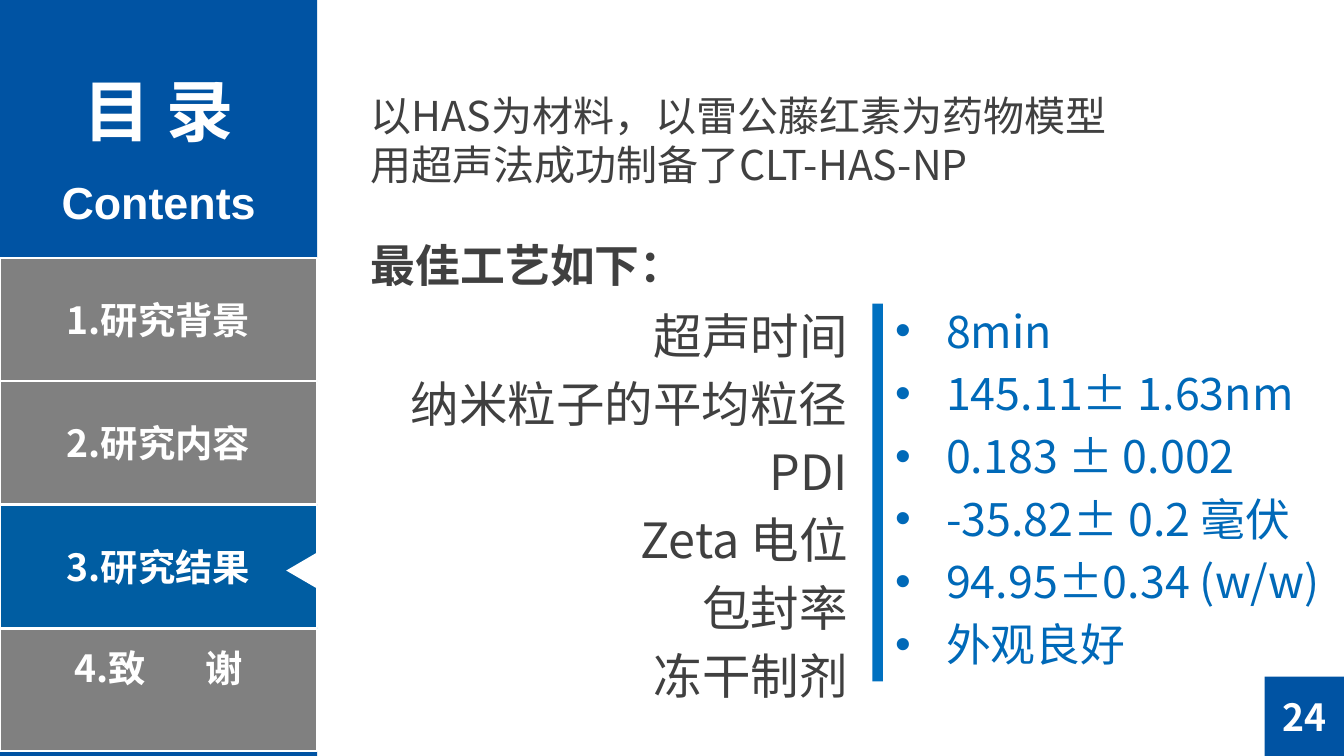
from lxml import etree
from pptx import Presentation
from pptx.dml.color import RGBColor
from pptx.enum.shapes import MSO_SHAPE as Shape
from pptx.enum.text import MSO_ANCHOR as Anchor, MSO_AUTO_SIZE as AutoSize, PP_ALIGN as Align
from pptx.oxml.ns import qn
from pptx.util import Inches, Pt

WIDTH = 10
HEIGHT = WIDTH * 9 / 16
CJK_FONT, LATIN_FONT = "Noto Sans CJK SC", "Arial"
COLORS = {"sidebar": "0053A3", "active": "005DA2", "idle": "808080", "white": "FFFFFF",
          "text": "404040", "values": "0069B8", "bar": "0070C0"}

CONTENTS = [("目 录", 0.47, 0.71, 36), ("Contents", 1.25, 0.5, 24)]
SECTIONS = ["1.研究背景", "2.研究内容", "3.研究结果", "4.致 谢"]
ACTIVE = 2
INTRO = ["以HAS为材料，以雷公藤红素为药物模型", "用超声法成功制备了CLT-HAS-NP"]
HEADING = "最佳工艺如下："
RESULTS = [
    ("超声时间", "8min"),
    ("纳米粒子的平均粒径", "145.11± 1.63nm"),
    ("PDI", "0.183 ± 0.002"),
    ("Zeta 电位", "-35.82± 0.2 毫伏"),
    ("包封率", "94.95±0.34 (w/w)"),
    ("冻干制剂", "外观良好"),
]
PAGE_NUMBER = "24"

SIDEBAR_WIDTH = 2.36
SECTION_TOP, SECTION_HEIGHT, SECTION_PITCH = 1.92, 0.91, 0.92
TEXT_LEFT = 2.66
BADGE = 0.59


def place(shape, left, top, width, height):
    shape.left, shape.top = Inches(left), Inches(top)
    shape.width, shape.height = Inches(width), Inches(height)


def add_block(page, kind, left, top, width, height, fill, outline=None):
    block = page.shapes.add_shape(kind, *map(Inches, (left, top, width, height)))
    block.shadow.inherit = False
    block.fill.solid()
    block.fill.fore_color.rgb = RGBColor.from_string(COLORS[fill])
    if outline:
        block.line.color.rgb = RGBColor.from_string(COLORS[outline])
        block.line.width = Pt(0.75)
    else:
        block.line.fill.background()
    return block


def style(para, size, color, bold=False, align=Align.LEFT, font=CJK_FONT,
          pitch=None, before=0, bullet=False):
    para.alignment = align
    para.space_before = Pt(before)
    if pitch:
        para.line_spacing = Pt(pitch)
    para.font.size, para.font.bold = Pt(size), bold
    para.font.color.rgb = RGBColor.from_string(COLORS[color])
    para.font.name = font
    props = para._p.get_or_add_pPr()
    defaults = props.find(qn("a:defRPr"))
    etree.SubElement(defaults, qn("a:ea"), typeface=CJK_FONT)
    indent = Inches(0.38) if bullet else 0
    props.set("marL", str(indent))
    props.set("indent", str(-indent))
    if bullet:
        mark = etree.Element(qn("a:buChar"), char="•")
    else:
        mark = etree.Element(qn("a:buNone"))
    defaults.addprevious(mark)


def fill_text(shape, lines, anchor=Anchor.TOP):
    """Write one paragraph per line and return the paragraphs."""
    frame = shape.text_frame
    frame.word_wrap = True
    frame.auto_size = AutoSize.NONE
    frame.vertical_anchor = anchor
    frame.text = "\n".join(lines)
    return frame.paragraphs


def add_sidebar(page):
    add_block(page, Shape.RECTANGLE, 0, 0, SIDEBAR_WIDTH, HEIGHT, "sidebar")
    for text, top, height, size in CONTENTS:
        box = page.shapes.add_textbox(*map(Inches, (0.12, top, SIDEBAR_WIDTH - 0.24, height)))
        style(fill_text(box, [text])[0], size, "white", True, Align.CENTER, LATIN_FONT)

    for index, label in enumerate(SECTIONS):
        top = SECTION_TOP + index * SECTION_PITCH
        block = add_block(page, Shape.RECTANGLE, 0, top, SIDEBAR_WIDTH, SECTION_HEIGHT,
                          "active" if index == ACTIVE else "idle", "white")
        para = fill_text(block, [label], Anchor.MIDDLE)[0]
        style(para, 20, "white", True, Align.CENTER)
    # The last label sits high and has a wide gap between its two characters.
    block.text_frame.margin_bottom = Inches(0.38)
    before, after = label.split(" ")
    para.runs[0].text = before
    for text in (" ", after):
        para.add_run().text = text
    para.runs[1]._r.get_or_add_rPr().set("spc", "2700")

    middle = SECTION_TOP + ACTIVE * SECTION_PITCH + SECTION_HEIGHT / 2
    pointer = add_block(page, Shape.ISOSCELES_TRIANGLE, 2.11, middle - 0.09, 0.28, 0.24, "white")
    pointer.rotation = 270


def add_results(page):
    title, names, values = page.placeholders
    place(title, TEXT_LEFT, 0.62, 6.33, 0.84)
    for para in fill_text(title, INTRO):
        style(para, 22, "text", pitch=26.4)

    place(names, TEXT_LEFT, 1.61, 3.75, 3.78)
    heading, *name_paras = fill_text(names, [HEADING] + [name for name, _ in RESULTS])
    style(heading, 24, "text", True, pitch=36.4)
    for index, para in enumerate(name_paras):
        style(para, 26, "text", align=Align.RIGHT, pitch=36.4, before=0 if index else 3)

    place(values, 6.56, 2.14, WIDTH - 6.56, 3)
    values.text_frame.margin_right = 0
    for para in fill_text(values, [value for _, value in RESULTS]):
        style(para, 24, "values", pitch=33.6, bullet=True)

    add_block(page, Shape.RECTANGLE, 6.49, 2.26, 0.08, 2.81, "bar")


def add_page_number(page):
    badge = add_block(page, Shape.RECTANGLE, WIDTH - BADGE, HEIGHT - BADGE, BADGE, BADGE, "sidebar")
    badge.text_frame.margin_left = badge.text_frame.margin_right = 0
    style(fill_text(badge, [PAGE_NUMBER], Anchor.MIDDLE)[0], 20, "white", True, Align.CENTER)


def main():
    deck = Presentation()
    deck.slide_width, deck.slide_height = Inches(WIDTH), Inches(HEIGHT)
    page = deck.slides.add_slide(deck.slide_layouts.get_by_name("Two Content"))
    add_sidebar(page)
    add_results(page)
    add_page_number(page)
    deck.save("out.pptx")


if __name__ == "__main__":
    main()
